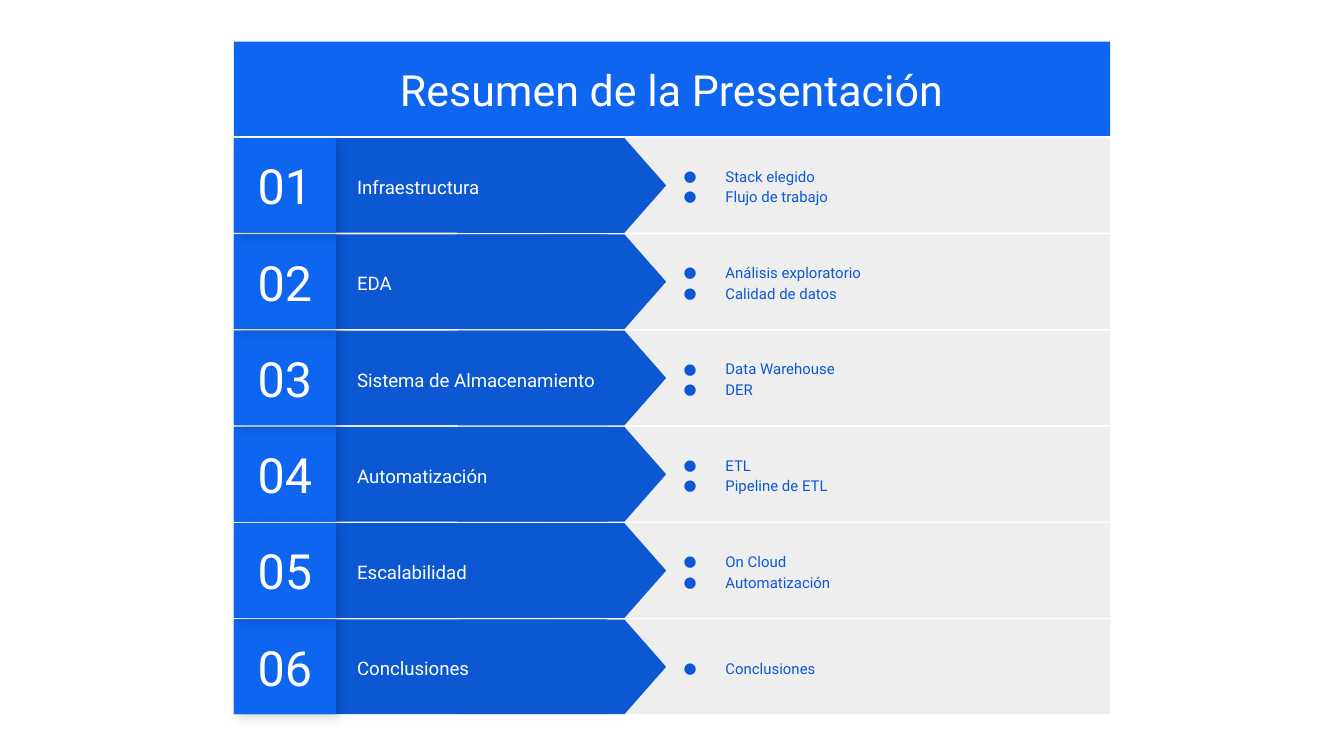
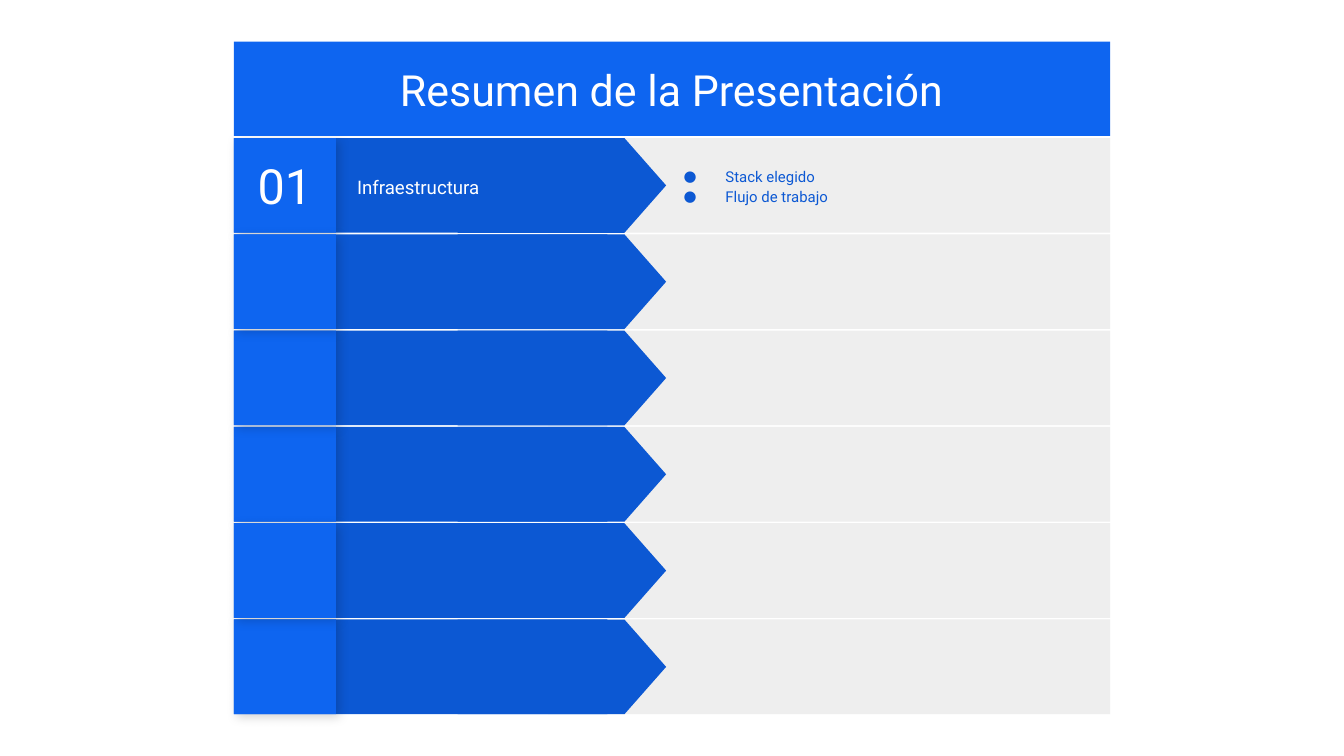
"""Build two agenda slides: the full summary and its first step."""
import pptx
import pptx.dml.color
import pptx.enum.shapes
import pptx.enum.text
import pptx.oxml
import pptx.oxml.ns
import pptx.util
from lxml import etree

Cm = pptx.util.Cm
Pt = pptx.util.Pt
SHAPE = pptx.enum.shapes.MSO_SHAPE
ALIGN = pptx.enum.text.PP_ALIGN
qn = pptx.oxml.ns.qn

TITLE = "Resumen de la Presentación"
STEPS = [
    ("Infraestructura", ["Stack elegido", "Flujo de trabajo"]),
    ("EDA", ["Análisis exploratorio", "Calidad de datos"]),
    ("Sistema de Almacenamiento", ["Data Warehouse", "DER"]),
    ("Automatización", ["ETL", "Pipeline de ETL"]),
    ("Escalabilidad", ["On Cloud", "Automatización"]),
    ("Conclusiones", ["Conclusiones"]),
]
SLIDES = [
    {"order": [4, 3, 2, 1, "title", "footer", 6, 5], "filled": 6},
    {"order": [1, "footer", 4, 3, 2, "title", 6, 5], "filled": 1},
]

COLORS = {
    "bright": "0E65F0",
    "edge": "0D5DDF",
    "dark": "0C58D3",
    "panel": "EEEEEE",
    "white": "FFFFFF",
    "shadow": "000000",
}
FONT = "Roboto"
WIDTH, HEIGHT = 25.4, 14.29
LEFT, RIGHT = 4.42, 20.98
TITLE_TOP, TITLE_H = 0.79, 1.78
ROW_TOP, ROW_STEP, ROW_H = 2.61, 1.82, 1.79
NUMBER_W = 1.93
BODY_LEFT, BODY_W = LEFT + NUMBER_W, 5.13
PANEL_LEFT = 10.36
ARROW_CENTER, ARROW_LEN = 10.62, 3.94
LABEL_LEFT, LABEL_W, LABEL_H = 6.5, 5.38, 1.37
DETAIL_LEFT, DETAIL_W = 12.19, 8.25
FOOTER_H = 2.03


def rgb(name):
    return pptx.dml.color.RGBColor.from_string(COLORS[name])


def add_block(shapes, box, color, kind=SHAPE.RECTANGLE):
    sp = shapes.add_shape(kind, *map(Cm, box))
    sp.shadow.inherit = False
    sp.fill.solid()
    sp.fill.fore_color.rgb = rgb(color)
    sp.line.fill.background()
    return sp


def add_shadow(sp):
    effects = sp._element.spPr.find(qn("a:effectLst"))
    shadow = etree.SubElement(effects, qn("a:outerShdw"), blurRad=str(Pt(5.6)),
                              dist=str(Pt(2.2)), dir=str(45 * 60000),
                              algn="bl", rotWithShape="0")
    color = etree.SubElement(shadow, qn("a:srgbClr"), val=COLORS["shadow"])
    etree.SubElement(color, qn("a:alpha"), val="17000")


def add_bullet(p):
    pPr = p._p.get_or_add_pPr()
    pPr.set("marL", str(Cm(1.27)))
    pPr.set("indent", str(Cm(-0.79)))
    color = etree.SubElement(pPr, qn("a:buClr"))
    etree.SubElement(color, qn("a:srgbClr"), val=COLORS["dark"])
    etree.SubElement(pPr, qn("a:buFont"), typeface=FONT)
    etree.SubElement(pPr, qn("a:buChar"), char="●")


def write(sp, lines, size, color="white", align=ALIGN.LEFT, spacing=None, bullets=False):
    tf = sp.text_frame
    tf.word_wrap = True
    tf.vertical_anchor = pptx.enum.text.MSO_ANCHOR.MIDDLE
    tf.margin_left = tf.margin_right = tf.margin_top = tf.margin_bottom = Cm(0.25)
    for i, line in enumerate(lines):
        p = tf.add_paragraph() if i else tf.paragraphs[0]
        p.alignment = align
        if bullets:
            add_bullet(p)
        if spacing:
            p.line_spacing = spacing
        r = p.add_run()
        r.text = line
        r.font.name = FONT
        r.font.size = Pt(size)
        r.font.color.rgb = rgb(color)


def add_title(s):
    sp = add_block(s.shapes, (LEFT, TITLE_TOP, RIGHT - LEFT, TITLE_H), "bright")
    write(sp, [TITLE], 23, align=ALIGN.CENTER)


def add_footer(s):
    sp = add_block(s.shapes, (0, HEIGHT - FOOTER_H, WIDTH, FOOTER_H), "white")
    sp.line.color.rgb = rgb("white")
    sp.line.width = Pt(0.75)


def add_row(s, number, filled):
    label, details = STEPS[number - 1]
    top = ROW_TOP + (number - 1) * ROW_STEP
    middle = top + ROW_H / 2
    shapes = s.shapes.add_group_shape().shapes

    add_block(shapes, (PANEL_LEFT, top, RIGHT - PANEL_LEFT, ROW_H), "panel")
    add_block(shapes, (BODY_LEFT, top, BODY_W, ROW_H), "dark")
    arrow = add_block(shapes, (ARROW_CENTER - ROW_H / 2, middle - ARROW_LEN / 2, ROW_H, ARROW_LEN),
                      "dark", SHAPE.FLOWCHART_OFFPAGE_CONNECTOR)
    arrow.rotation = 270
    if filled:
        box = (LABEL_LEFT, middle - LABEL_H / 2, LABEL_W, LABEL_H)
        write(shapes.add_textbox(*map(Cm, box)), [label], 10, spacing=1.15)

    number_box = (LEFT, top, NUMBER_W, ROW_H)
    add_shadow(add_block(shapes, number_box, "edge"))
    badge = add_block(shapes, number_box, "bright")
    if filled:
        write(badge, [f"{number:02d}"], 26, align=ALIGN.CENTER)
        box = (DETAIL_LEFT, top, DETAIL_W, ROW_H)
        write(shapes.add_textbox(*map(Cm, box)), details, 8, "dark", spacing=1.15, bullets=True)


def main():
    prs = pptx.Presentation()
    prs.slide_width, prs.slide_height = Cm(WIDTH), Cm(HEIGHT)
    for plan in SLIDES:
        s = prs.slides.add_slide(prs.slide_layouts[6])
        for part in plan["order"]:
            if part == "title":
                add_title(s)
            elif part == "footer":
                add_footer(s)
            else:
                add_row(s, part, part <= plan["filled"])
    prs.save("out.pptx")


if __name__ == "__main__":
    main()
